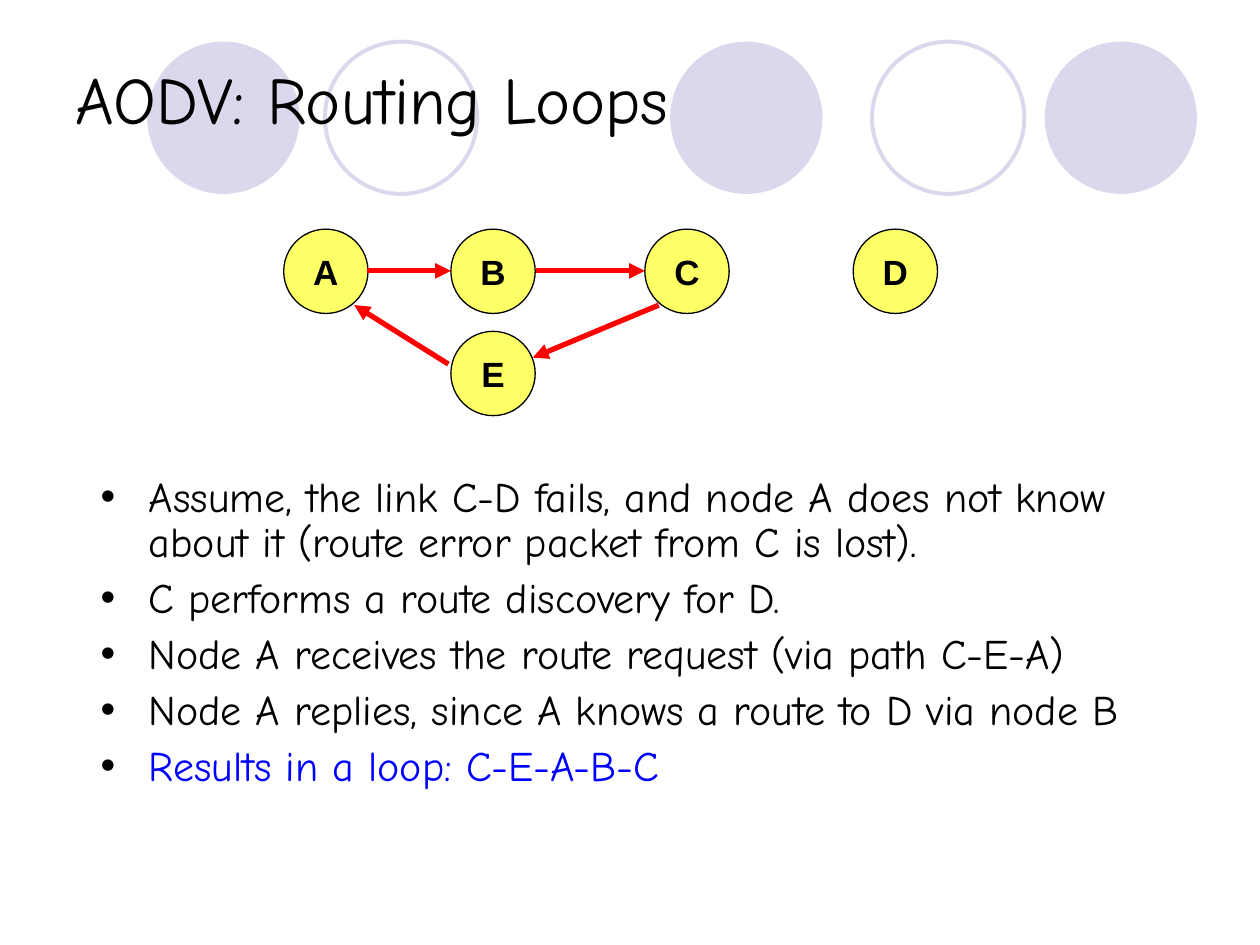
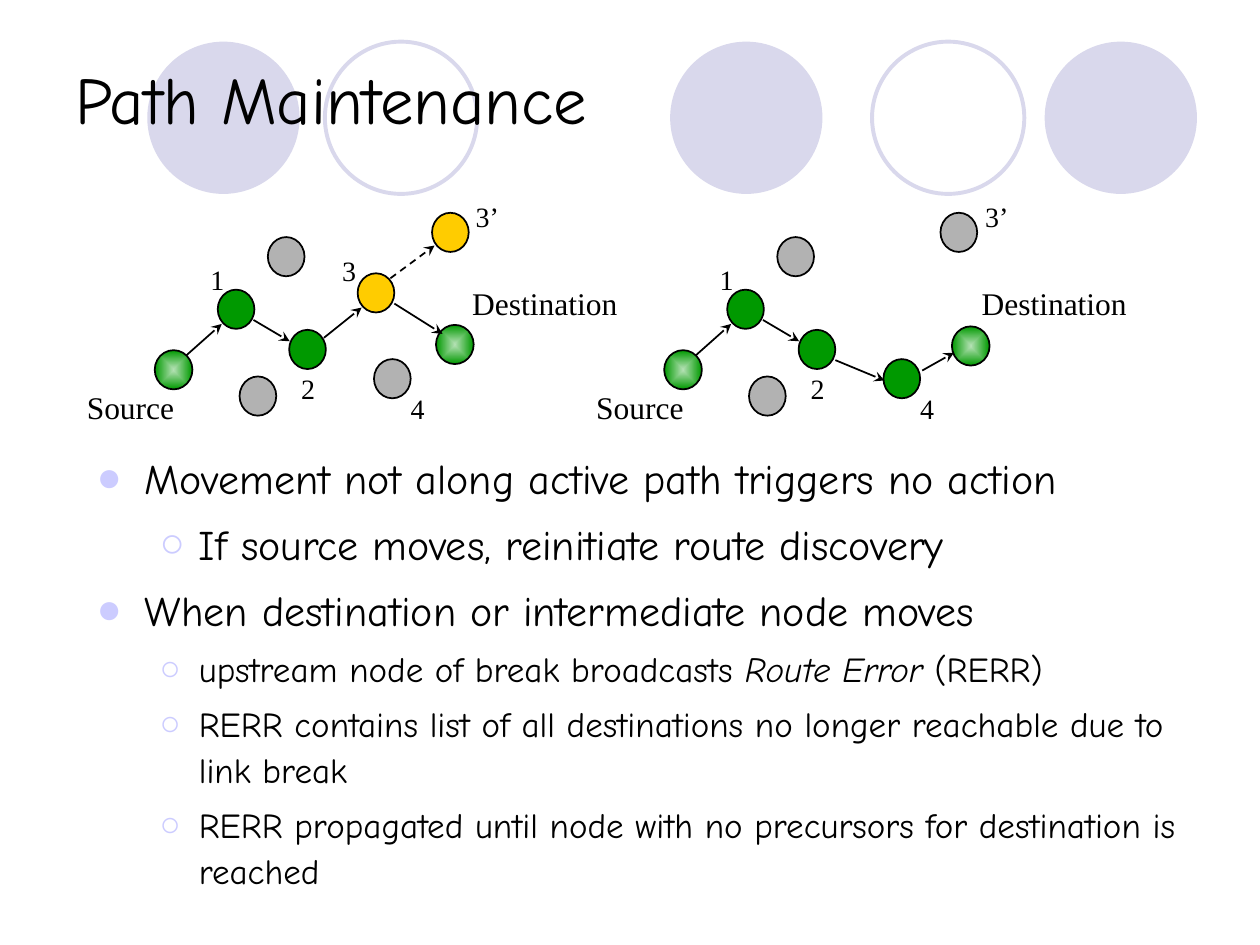
import pptx
import pptx.util
import pptx.dml.color
import pptx.enum.dml
import pptx.enum.shapes
import pptx.enum.text
import pptx.oxml.ns
from lxml import etree

Cm = pptx.util.Cm
Pt = pptx.util.Pt
qn = pptx.oxml.ns.qn
hue = pptx.dml.color.RGBColor.from_string
OVAL = pptx.enum.shapes.MSO_SHAPE.OVAL
LINE = pptx.enum.shapes.MSO_CONNECTOR.STRAIGHT
DASH = pptx.enum.dml.MSO_LINE.DASH
MID = pptx.enum.text.MSO_ANCHOR.MIDDLE
CENTER = pptx.enum.text.PP_ALIGN.CENTER

HAND = "Comic Neue"
SERIF = "Times New Roman"
BLACK = "000000"
PALE = "D9D8EC"
LILAC = "CCCCFF"
YELLOW = "FFFF66"
GOLD = "FFCC00"
GREEN = "009900"
MINT = "B2E0B2"
GREY = "B2B2B2"
RED = "FF0000"
BLUE = "0000FF"


def oval(slide, x, y, wide, high, fill, line, weight):
    shape = slide.shapes.add_shape(OVAL, Cm(x), Cm(y), Cm(wide), Cm(high))
    shape.shadow.inherit = False
    if fill:
        shape.fill.solid()
        shape.fill.fore_color.rgb = hue(fill)
    else:
        shape.fill.background()
    if line:
        shape.line.color.rgb = hue(line)
        shape.line.width = Pt(weight)
    else:
        shape.line.fill.background()
    return shape


def write(slide, x, y, wide, high, text, size, face):
    frame = slide.shapes.add_textbox(Cm(x), Cm(y), Cm(wide), Cm(high)).text_frame
    para = frame.paragraphs[0]
    para.text = text
    para.font.size = Pt(size)
    para.font.name = face
    para.font.color.rgb = hue(BLACK)
    return frame


deck = pptx.Presentation()
deck.slide_width = Cm(25.4)
deck.slide_height = Cm(19.05)

slides = []
for title in ["AODV: Routing Loops", "Path Maintenance"]:
    slide = deck.slides.add_slide(deck.slide_layouts[6])
    for x in [13.51, 21.06, 2.97]:
        oval(slide, x, 0.84, 3.07, 3.07, PALE, None, 0)
    for x in [17.58, 6.55]:
        oval(slide, x, 0.84, 3.07, 3.07, None, PALE, 2.25)
    frame = write(slide, 1.27, 0.76, 22.86, 2.41, title, 38, HAND)
    frame.word_wrap = True
    frame.vertical_anchor = MID
    slides.append(slide)
loops, upkeep = slides

for name, x, y in [("A", 5.72, 4.62), ("B", 9.09, 4.62), ("C", 13, 4.62),
                   ("D", 17.2, 4.62), ("E", 9.09, 6.68)]:
    frame = oval(loops, x, y, 1.7, 1.7, YELLOW, BLACK, 0.75).text_frame
    frame.word_wrap = False
    frame.vertical_anchor = MID
    para = frame.paragraphs[0]
    para.text = name
    para.alignment = CENTER
    para.font.size = Pt(20)
    para.font.bold = True
    para.font.name = "Arial"
    para.font.color.rgb = hue(BLACK)

links = [(loops, ends, RED, 3, "triangle", False) for ends in [
    (7.39, 5.46, 9.09, 5.46),
    (10.8, 5.46, 13, 5.46),
    (9.04, 7.34, 7.14, 6.15),
    (13.28, 6.15, 10.74, 7.21),
]]

nets = [
    (0,
     [(7.54, 7.24, GREY), (7.21, 5.51, GOLD), (8.71, 4.29, GOLD)],
     (8.79, 6.55),
     [("3", 6.65, 4.98, 0.79, 16)],
     [(6.53, 6.81, 7.29, 6.2, False), (7.95, 6.12, 8.92, 6.73, False),
      (7.87, 5.61, 8.76, 4.95, True)]),
    (10.27,
     [(7.54, 7.24, GREEN), (8.69, 4.29, GREY)],
     (8.92, 6.58),
     [],
     [(6.57, 7.26, 7.56, 7.67, False), (8.32, 7.47, 8.96, 7.11, False)]),
]
nodes = [(5.4, 4.78, GREY), (4.83, 7.59, GREY),
         (4.39, 5.84, GREEN), (5.83, 6.65, GREEN)]
labels = [("Source", 1.5, 7.7, 2.29, 18), ("Destination", 9.27, 5.61, 3.45, 18),
          ("1", 3.99, 5.16, 0.79, 16), ("2", 5.82, 7.37, 0.79, 16),
          ("4", 8.03, 7.77, 0.79, 16), ("3’", 9.34, 3.9, 0.99, 16)]
hops = [(3.76, 7.16, 4.47, 6.53, False), (5.11, 6.45, 5.84, 6.88, False)]

for shift, discs, goal, notes, steps in nets:
    for x, y, fill in nodes + discs:
        oval(upkeep, x + shift, y, 0.74, 0.79, fill, BLACK, 1)
    for x, y in [(3.12, 7.06), goal]:
        shape = oval(upkeep, x + shift, y, 0.76, 0.79, GREEN, BLACK, 1)
        shape.fill.gradient()
        for stop, shade in zip(shape.fill.gradient_stops, [MINT, GREEN]):
            stop.color.rgb = hue(shade)
        grad = shape._element.spPr.find(qn("a:gradFill"))
        grad.remove(grad.find(qn("a:lin")))
        focus = etree.SubElement(grad, qn("a:path"), {"path": "rect"})
        etree.SubElement(focus, qn("a:fillToRect"), dict.fromkeys("ltrb", "50000"))
    for text, x, y, wide, size in labels + notes:
        write(upkeep, x + shift, y, wide, 1, text, size, SERIF)
    for x, y, right, low, dashed in hops + steps:
        ends = (x + shift, y, right + shift, low)
        links.append((upkeep, ends, BLACK, 1, "stealth", dashed))

for slide, ends, shade, weight, head, dashed in links:
    link = slide.shapes.add_connector(LINE, *[Cm(end) for end in ends])
    link.line.color.rgb = hue(shade)
    link.line.width = Pt(weight)
    if dashed:
        link.line.dash_style = DASH
    etree.SubElement(link.line._get_or_add_ln(), qn("a:tailEnd"), {"type": head})
    etree.SubElement(link._element.spPr, qn("a:effectLst"))

DOT = ("•", BLACK, 0.97, 0.97)
DISC = ("●", LILAC, 0.97, 0.97)
RING = ("○", LILAC, 2.06, 0.79)
bodies = [
    (loops, (1.78, 9.47, 22.22, 6.93), 0.9, [
        (DOT, 24, BLACK, ["Assume, the link C-D fails, and node A does not know "
                          "about it (route error packet from C is lost)."]),
        (DOT, 24, BLACK, ["C performs a route discovery for D."]),
        (DOT, 24, BLACK, ["Node A receives the route request (via path C-E-A)"]),
        (DOT, 24, BLACK, ["Node A replies, since A knows a route to D via node B"]),
        (DOT, 24, BLUE, ["Results in a loop: C-E-A-B-C"]),
    ]),
    (upkeep, (1.7, 8.89, 22.96, 8.89), 1.1, [
        (DISC, 24, BLACK, ["Movement not along active path triggers no action"]),
        (RING, 24, BLACK, ["If source moves, reinitiate route discovery"]),
        (DISC, 24, BLACK, ["When destination or intermediate node moves"]),
        (RING, 20, BLACK, ["upstream node of break broadcasts ", "Route Error", " (RERR)"]),
        (RING, 20, BLACK, ["RERR contains list of all destinations no longer "
                           "reachable due to link break"]),
        (RING, 20, BLACK, ["RERR propagated until node with no precursors for "
                           "destination is reached"]),
    ]),
]
for slide, box, space, items in bodies:
    frame = slide.shapes.add_textbox(*[Cm(side) for side in box]).text_frame
    frame.word_wrap = True
    for rank, (mark, size, shade, parts) in enumerate(items):
        para = frame.add_paragraph() if rank else frame.paragraphs[0]
        sign, tint, left, hang = mark
        para.level = int(mark == RING)
        para.line_spacing = space
        para.space_before = Pt(size / 4)
        props = para._p.get_or_add_pPr()
        props.set("marL", str(Cm(left)))
        props.set("indent", str(-Cm(hang)))
        color = etree.SubElement(props, qn("a:buClr"))
        etree.SubElement(color, qn("a:srgbClr"), {"val": tint})
        etree.SubElement(props, qn("a:buFont"), {"typeface": "Arial"})
        etree.SubElement(props, qn("a:buChar"), {"char": sign})
        para.font.size = Pt(size)
        para.font.name = HAND
        para.font.color.rgb = hue(shade)
        for part in parts:
            run = para.add_run()
            run.text = part
            if part == "Route Error":
                run.font.italic = True

deck.save("out.pptx")
